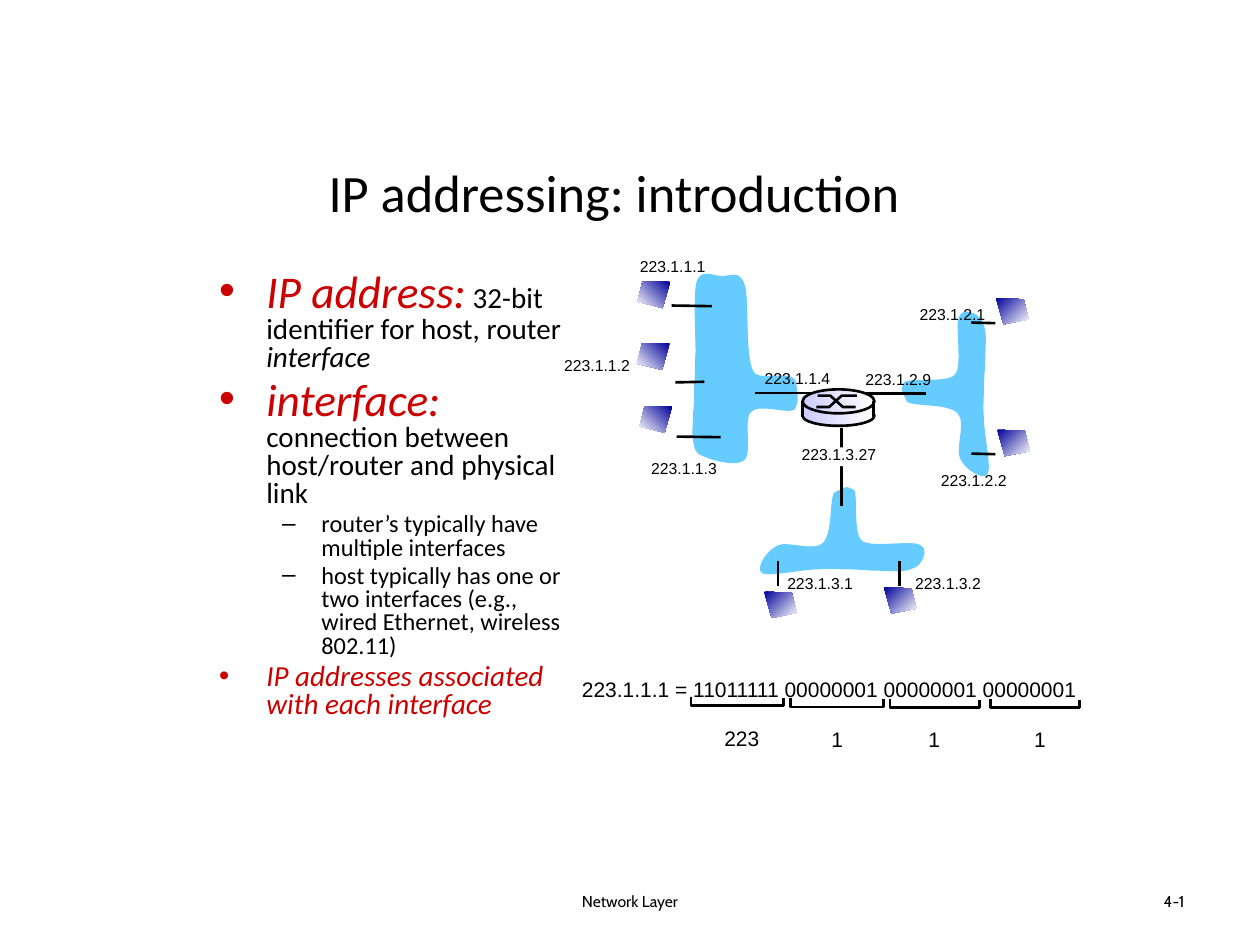
import lxml.etree
import pptx
import pptx.dml.color
import pptx.enum.shapes
import pptx.enum.text
import pptx.oxml.ns
import pptx.util

RGBColor = pptx.dml.color.RGBColor
Shape = pptx.enum.shapes.MSO_SHAPE
Align = pptx.enum.text.PP_ALIGN
Anchor = pptx.enum.text.MSO_ANCHOR
AutoSize = pptx.enum.text.MSO_AUTO_SIZE
qn = pptx.oxml.ns.qn

BLACK = RGBColor(0x00, 0x00, 0x00)
WHITE = RGBColor(0xFF, 0xFF, 0xFF)
RED = RGBColor(0xCC, 0x00, 0x00)
SKY = RGBColor(0x66, 0xCC, 0xFF)
NAVY = RGBColor(0x00, 0x00, 0x99)
LAVENDER = RGBColor(0xCC, 0xCC, 0xFF)

COLUMNS = 100
LINE_WIDTH = 1.5
TERM, BODY, DETAIL = 25.9, 16.65, 13.88


class Board:
    def __init__(self, deck):
        self.slide = deck.slides.add_slide(deck.slide_layouts[5])
        self.shapes = self.slide.shapes
        self.cell = deck.slide_width / COLUMNS

    def grid(self, *lengths):
        return [round(length * self.cell) for length in lengths]

    def add_run(self, paragraph, words, size, font, color=BLACK, italic=False):
        run = paragraph.add_run()
        run.text = words
        run.font.size = pptx.util.Pt(size)
        run.font.name = font
        run.font.color.rgb = color
        run.font.italic = italic

    def title(self, words, box):
        heading = self.shapes.title
        heading.left, heading.top, heading.width, heading.height = self.grid(*box)
        frame = heading.text_frame
        frame.auto_size = AutoSize.NONE
        frame.vertical_anchor = Anchor.MIDDLE
        frame.paragraphs[0].alignment = Align.CENTER
        self.add_run(frame.paragraphs[0], words, 30, "Calibri")

    def text(self, words, box, size=9, font="Arial", align=Align.LEFT, anchor=Anchor.TOP):
        frame = self.shapes.add_textbox(*self.grid(*box)).text_frame
        frame.word_wrap = False
        frame.vertical_anchor = anchor
        frame.paragraphs[0].alignment = align
        self.add_run(frame.paragraphs[0], words, size, font)

    def bullets(self, items, box):
        frame = self.shapes.add_textbox(*self.grid(*box)).text_frame
        frame.word_wrap = True
        for index, (level, before, runs) in enumerate(items):
            paragraph = frame.paragraphs[0] if index == 0 else frame.add_paragraph()
            mark, color, margin, indent = [("•", RED, 3.75, 3.75), ("–", BLACK, 8.13, 3.13)][level]
            properties = paragraph._p.get_or_add_pPr()
            properties.set("marL", str(self.grid(margin)[0]))
            properties.set("indent", str(self.grid(-indent)[0]))
            mark_color = lxml.etree.SubElement(properties, qn("a:buClr"))
            lxml.etree.SubElement(mark_color, qn("a:srgbClr"), val=str(color))
            lxml.etree.SubElement(properties, qn("a:buFont"), typeface="Arial")
            lxml.etree.SubElement(properties, qn("a:buChar"), char=mark)
            paragraph.level = level
            paragraph.line_spacing = 0.8
            if before:
                paragraph.space_before = pptx.util.Pt(before)
            for words, size, run_color, italic in runs:
                self.add_run(paragraph, words, size, "Calibri", run_color, italic)

    def paint(self, shape, fill=None, fade_angle=None, outlined=False):
        shape.shadow.inherit = False
        if fill is None:
            shape.fill.background()
        elif fade_angle is None:
            shape.fill.solid()
            shape.fill.fore_color.rgb = fill
        else:
            shape.fill.gradient()
            shape.fill.gradient_angle = fade_angle
            for stop, color in zip(shape.fill.gradient_stops, (fill, WHITE)):
                stop.color.rgb = color
        if outlined:
            shape.line.color.rgb = BLACK
            shape.line.width = pptx.util.Pt(LINE_WIDTH)
        else:
            shape.line.fill.background()

    def block(self, preset, box, fill, fade_angle=None, outlined=False):
        self.paint(self.shapes.add_shape(preset, *self.grid(*box)), fill, fade_angle, outlined)

    def outline(self, points, fill=None, fade_angle=None):
        start, *rest = [self.grid(*point) for point in points]
        builder = self.shapes.build_freeform(*start)
        builder.add_line_segments(rest, close=fill is not None)
        shape = builder.convert_to_shape()
        self.paint(shape, fill, fade_angle, outlined=fill is None)
        return shape

    def cloud(self, start, curves):
        points = [start]
        for curve in curves:
            points += zip(curve[::2], curve[1::2])
        shape = self.outline(points, SKY)
        segments = list(shape._element.iter(qn("a:lnTo")))
        for first in range(0, 3 * len(curves), 3):
            bend, *others = segments[first:first + 3]
            bend.tag = qn("a:cubicBezTo")
            for other in others:
                bend.append(other[0])
                other.getparent().remove(other)

    def host(self, left, top, mirrored=False):
        corners = [(0, 0), (2.2, 0.1), (2.6, 1.7), (0.6, 2.1)]
        if mirrored:
            corners = [(2.6, 0), (0.4, 0), (0, 1.6), (2, 2.1)]
        self.outline([(left + x, top + y) for x, y in corners], NAVY, 225 if mirrored else 315)

    def link(self, *ends):
        wire = self.shapes.add_connector(pptx.enum.shapes.MSO_CONNECTOR.STRAIGHT, *self.grid(*ends))
        wire.line.color.rgb = BLACK
        wire.line.width = pptx.util.Pt(LINE_WIDTH)
        lxml.etree.SubElement(wire._element.spPr, qn("a:effectLst"))


SOUTH_NET = (66.2, 39.1), [
    (65.8, 39.8, 66.1, 42.3, 65.3, 43.1), (64.6, 43.8, 62.5, 42.9, 61.7, 43.3),
    (60.8, 43.7, 59.9, 45.2, 60.5, 45.5), (61, 45.8, 63.7, 45.2, 64.8, 45.2),
    (66, 45.1, 66.6, 45.2, 67.4, 45.2), (68.2, 45.2, 69, 45.3, 69.7, 45.3),
    (70.4, 45.3, 71.3, 45.4, 71.8, 45.3), (72.4, 45.2, 72.9, 45, 73.1, 44.6),
    (73.3, 44.3, 73.7, 43.5, 72.9, 43.2), (72.1, 42.9, 69, 43.5, 68.4, 42.9),
    (67.7, 42.3, 68.1, 39.5, 67.8, 38.9), (67.1, 38.6, 67.4, 38.5, 66.2, 39.1)]
EAST_NET = (72, 31.9), [
    (72.7, 32.3, 75.2, 32, 76, 32.8), (76.7, 33.5, 75.8, 35.6, 76.2, 36.4),
    (76.6, 37.3, 78.1, 38.2, 78.4, 37.6), (78.7, 37.1, 78.1, 34.4, 78.1, 33.3),
    (78, 32.1, 78.1, 31.5, 78.1, 30.7), (78.1, 29.9, 78.2, 29.1, 78.2, 28.4),
    (78.2, 27.7, 78.3, 26.8, 78.2, 26.3), (78.1, 25.7, 77.9, 25.2, 77.5, 25),
    (77.2, 24.8, 76.4, 24.4, 76.1, 25.2), (75.8, 26, 76.4, 29.1, 75.8, 29.7),
    (75.3, 30.4, 72.4, 30, 71.8, 30.3), (71.5, 31, 71.4, 30.7, 72, 31.9)]
WEST_NET = (63.2, 30.5), [
    (63.1, 29.1, 60.4, 30.4, 59.8, 29.5), (59.1, 28.2, 59.5, 23.8, 59.1, 22.6),
    (58.7, 21.3, 57.8, 22, 57.2, 21.9), (56.6, 21.9, 55.7, 21.3, 55.3, 22.3),
    (55, 23.3, 55.2, 26.6, 55.2, 27.9), (55.1, 29.3, 55.2, 29.7, 55.1, 30.5),
    (55.1, 31.3, 55.1, 32.1, 55, 32.8), (55, 33.5, 54.9, 34.4, 55, 34.9),
    (55.1, 35.5, 55.1, 36, 55.8, 36.2), (56.4, 36.5, 58.4, 37.1, 59.1, 36.5),
    (59.7, 35.9, 59, 33.3, 59.6, 32.7), (60.3, 32, 62.5, 32.9, 63.1, 32.5),
    (63.3, 31.9, 63.4, 32, 63.2, 30.5)]

POINTS = [
    (0, 0, [("IP address:", TERM, RED, True),
            (" 32-bit identifier for host, router ", BODY, BLACK, False),
            ("interface", BODY, BLACK, True)]),
    (0, 5.2, [("interface:", TERM, RED, True),
              (" connection between host/router and physical link", BODY, BLACK, False)]),
    (1, 2.8, [("router’s typically have multiple interfaces", DETAIL, BLACK, False)]),
    (1, 2.8, [("host typically has one or two interfaces (e.g., wired Ethernet, wireless 802.11)",
               DETAIL, BLACK, False)]),
    (0, 3.3, [("IP addresses associated with each interface", BODY, RED, True)]),
]
ADDRESSES = [
    ("223.1.1.1", 49.8, 19.9), ("223.1.1.2", 43.8, 27.75), ("223.1.1.3", 50.7, 35.9),
    ("223.1.1.4", 59.7, 28.8), ("223.1.2.9", 67.7, 28.85), ("223.1.2.2", 73.7, 36.85),
    ("223.1.2.1", 72, 23.7), ("223.1.3.2", 71.65, 45.05), ("223.1.3.1", 61.5, 45.05),
    ("223.1.3.27", 62.65, 34.8),
]
EAST_SOUTH_LINKS = [
    (68.7, 31.25, 73.5, 31.25), (77.1, 25.6, 79, 25.65), (77.1, 36, 79, 36.05),
    (66.8, 34, 66.8, 40.2), (61.75, 46.5, 61.75, 44.5), (71.4, 46.5, 71.4, 44.5),
]
WEST_LINKS = [
    (53.3, 24.25, 56.5, 24.3), (53.6, 30.35, 55.9, 30.3),
    (53.7, 34.65, 57.2, 34.7), (59.9, 31.2, 64.5, 31.2),
]
OCTETS = [
    ("223", 56.5, 57.1, 4.8, 54.85, 55.3, 7.35), ("1", 65, 57.2, 2.9, 62.75, 55.4, 7.35),
    ("1", 72.7, 57.2, 2.9, 70.65, 55.45, 7.1), ("1", 81.1, 57.2, 2.9, 78.6, 55.45, 7.1),
]


def main():
    deck = pptx.Presentation()
    deck.slide_width, deck.slide_height = pptx.util.Inches(10), pptx.util.Inches(7.5)
    board = Board(deck)
    for start, curves in (SOUTH_NET, EAST_NET, WEST_NET):
        board.cloud(start, curves)
    board.text("Network Layer", (34.15, 69.5, 31.7, 4), 9, "Cabin", Align.CENTER, Anchor.MIDDLE)
    board.text("4-1", (71.7, 69.5, 23.3, 4), 9, "Cabin", Align.RIGHT, Anchor.MIDDLE)
    board.title("IP addressing: introduction", (16.85, 11.3, 63.8, 7.8))
    board.bullets(POINTS, (16.4, 21.2, 30.3, 38.1))

    for ends in EAST_SOUTH_LINKS:
        board.link(*ends)
    for backing in ((44.5, 28.4, 6.8, 1.5), (63.4, 35.5, 7, 1.5)):
        board.block(Shape.RECTANGLE, backing, WHITE)
    for address, left, top in ADDRESSES:
        board.text(address, (left, top, 8 if len(address) > 9 else 7.3, 2.5))

    board.text("223.1.1.1 = 11011111 00000001 00000001 00000001", (45.2, 53.2, 41.5, 3), 12)
    for value, left, top, width, start, rim, span in OCTETS:
        floor = rim + 0.7
        board.outline([(start, rim), (start, floor), (start + span, floor), (start + span, rim + 0.1)])
        board.text(value, (left, top, width, 3), 12)

    for left, top in ((50.6, 22.35), (50.55, 27.25), (50.75, 32.25)):
        board.host(left, top, mirrored=True)
    for left, top in ((79.05, 23.65), (79.15, 34.1), (70.15, 46.6), (60.65, 46.95)):
        board.host(left, top)

    board.block(Shape.OVAL, (63.7, 32.2, 5.7, 1.6), LAVENDER, 0, outlined=True)
    board.block(Shape.RECTANGLE, (63.7, 32, 5.7, 1), LAVENDER, 0)
    board.block(Shape.OVAL, (63.7, 30.9, 5.7, 1.9), LAVENDER, 0, outlined=True)
    board.outline([(64.8, 32.3), (65.8, 32.3), (66.8, 31.4), (68, 31.4)])
    board.outline([(64.9, 31.4), (65.9, 31.4), (66.9, 32.3), (67.9, 32.3)])
    for side in (63.7, 69.35):
        board.link(side, 31.85, side, 33.1)
    for ends in WEST_LINKS:
        board.link(*ends)
    deck.save("out.pptx")


if __name__ == "__main__":
    main()
